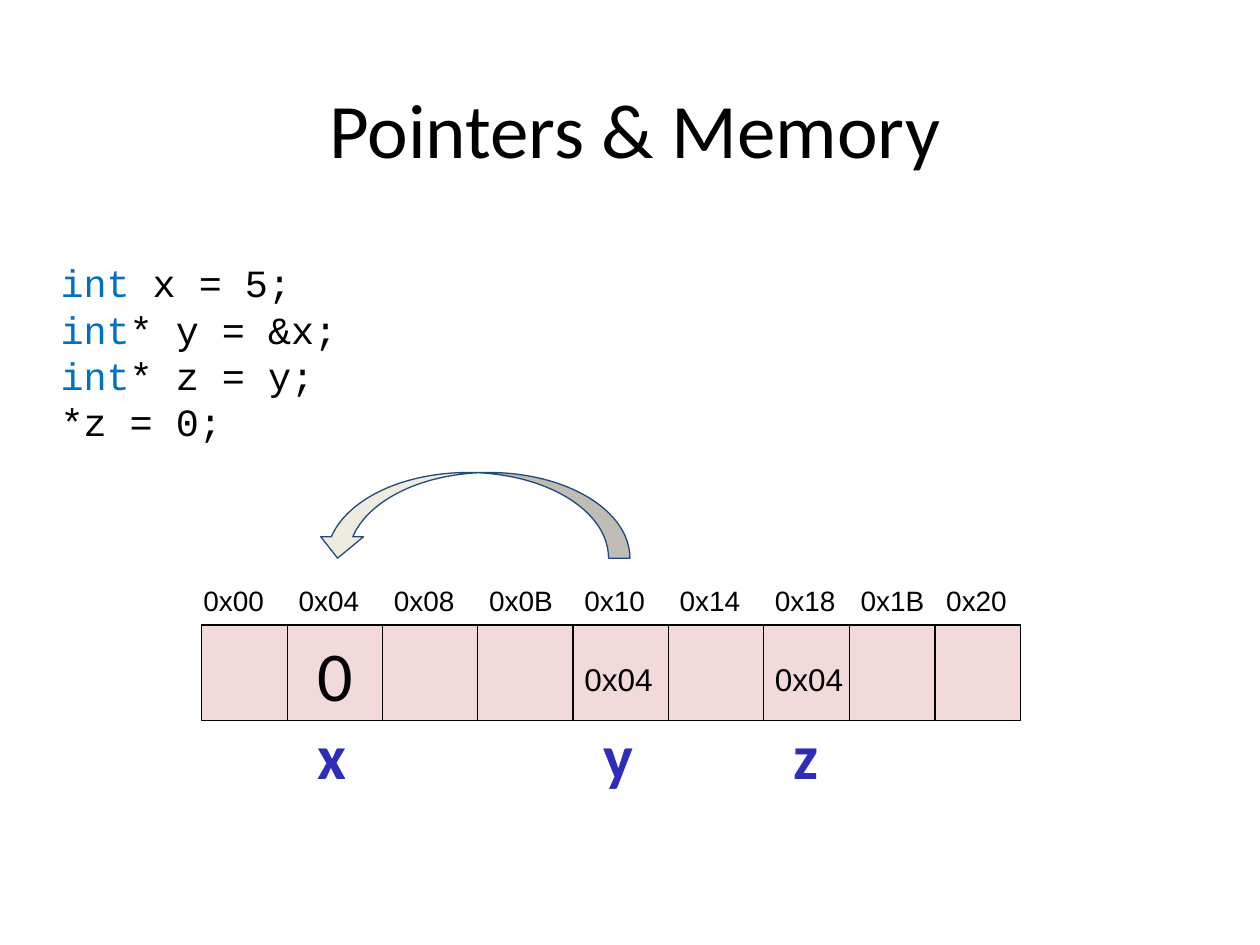
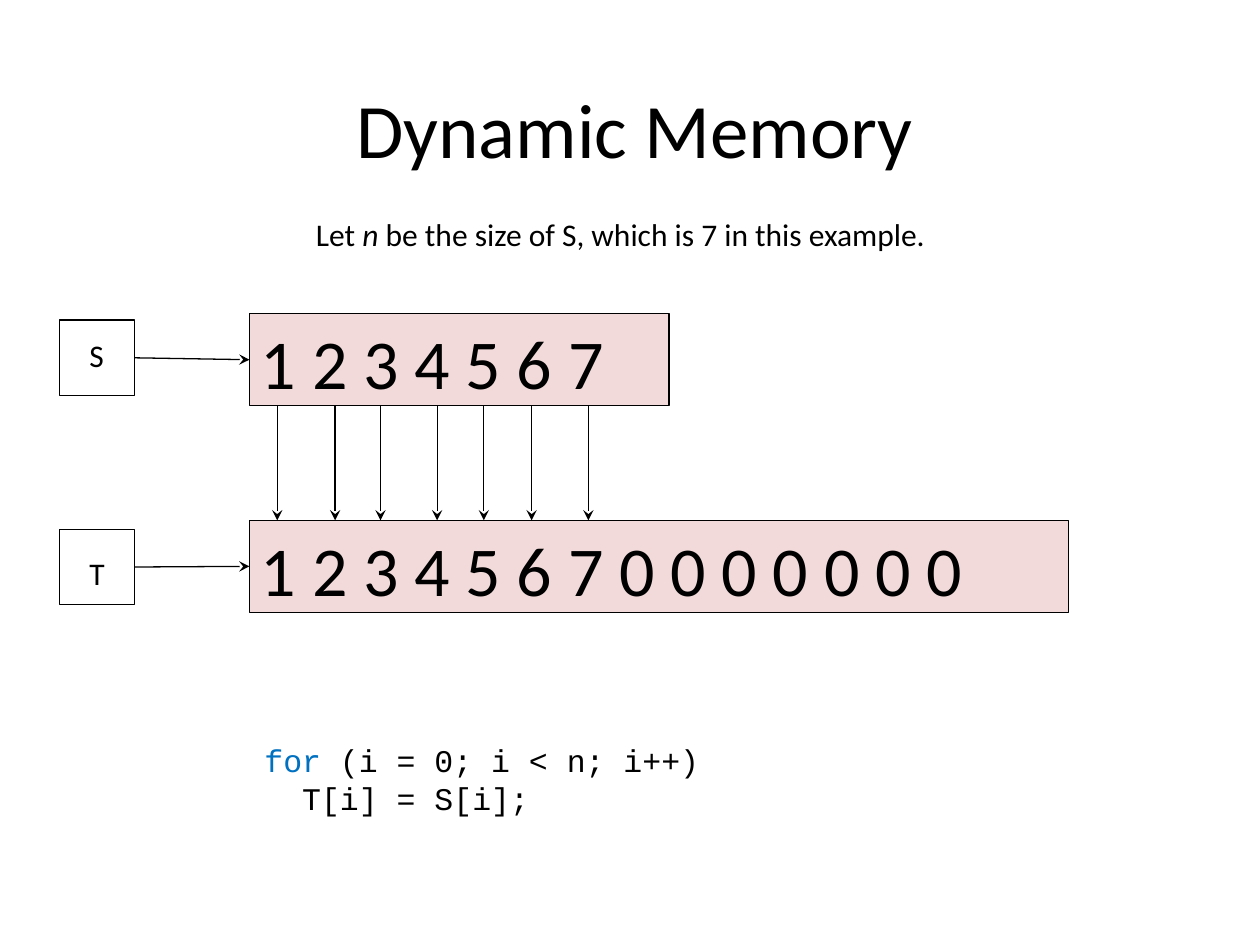
import itertools
import pptx
import pptx.util
import pptx.dml.color
import pptx.enum.shapes
import pptx.enum.text
import pptx.oxml.ns
import lxml.etree

# Content: pointers and memory
POINTER_CODE = [
    [("int", "keyword"), (" x = 5;", "ink")],
    [("int", "keyword"), ("* y = &x;", "ink")],
    [("int", "keyword"), ("* z = y;", "ink")],
    [("*z = 0;", "ink")],
]
ADDRESSES = ["0x00", "0x04", "0x08", "0x0B", "0x10", "0x14", "0x18", "0x1B", "0x20"]
# (cell, variable, value, value size, value font, left offset, top offset)
VARIABLES = [
    (1, "x", "0", 40, "Calibri", 0.15, 0),
    (4, "y", "0x04", 18, "Arial", 0, 0.23),
    (6, "z", "0x04", 18, "Arial", 0, 0.23),
]

# Content: dynamic memory
# (name, elements, array width, array top, name box top, name text top)
ARRAYS = [
    ("S", "1 2 3 4 5 6 7", 3.33, 2.49, 2.54, 2.62),
    ("T", "1 2 3 4 5 6 7 0 0 0 0 0 0 0", 6.5, 4.13, 4.2, 4.35),
]
COPY_ARROWS = [2.2, 2.66, 3.02, 3.47, 3.84, 4.22, 4.67]
SIZE_NOTE = [[("Let ", "ink"), ("n", "ink", True), (" be the size of S, which is 7 in this example.", "ink")]]
LOOP_CODE = [
    [("for", "keyword"), (" (i = 0; i < n; i++)", "ink")],
    [("  T[i] = S[i];", "ink")],
]

# Shared style and geometry
COLORS = {"ink": "000000", "keyword": "0070C0", "variable": "2D2DB9", "cell": "F2DADA",
          "arrow": "EEECE1", "arrow edge": "1F497D"}
LINE_WIDTH = 0.75
NARROW, WIDE = 0.68, 0.756
CELL_WIDTHS = [NARROW] + [WIDE] * 5 + [NARROW] * 3
MEMORY_LEFT, MEMORY_TOP, MEMORY_HEIGHT = 1.6, 4.96, 0.76
ARRAY_LEFT, ARRAY_HEIGHT = 1.98, 0.73
NAME_LEFT, NAME_SIZE = 0.47, 0.6

inch = pptx.util.Inches
SHAPE = pptx.enum.shapes.MSO_SHAPE


def rgb(name):
    return pptx.dml.color.RGBColor.from_string(COLORS[name])


def text(s, content, x, y, w, h, size=18, font="Calibri", color="ink", bold=False,
         align="LEFT", anchor="TOP", inset=0.09, top=0.05):
    """Content is a string, or paragraphs of (text, color, italic) runs."""
    tf = s.shapes.add_textbox(inch(x), inch(y), inch(w), inch(h)).text_frame
    tf.word_wrap = True
    tf.vertical_anchor = getattr(pptx.enum.text.MSO_ANCHOR, anchor)
    tf.margin_left = tf.margin_right = inch(inset)
    tf.margin_top, tf.margin_bottom = inch(top), inch(0.05)
    paragraphs = [[(content, color)]] if isinstance(content, str) else content
    for i, runs in enumerate(paragraphs):
        p = tf.add_paragraph() if i else tf.paragraphs[0]
        p.alignment = getattr(pptx.enum.text.PP_ALIGN, align)
        for words, run_color, *italic in runs:
            r = p.add_run()
            r.text = words
            r.font.size, r.font.name = pptx.util.Pt(size), font
            r.font.bold, r.font.italic = bold, bool(italic)
            r.font.color.rgb = rgb(run_color)


def shape(s, x, y, w, h, fill=None, edge="ink", kind=SHAPE.RECTANGLE):
    sp = s.shapes.add_shape(kind, inch(x), inch(y), inch(w), inch(h))
    sp.shadow.inherit = False
    if fill:
        sp.fill.solid()
        sp.fill.fore_color.rgb = rgb(fill)
    else:
        sp.fill.background()
    sp.line.color.rgb = rgb(edge)
    sp.line.width = pptx.util.Pt(LINE_WIDTH)
    return sp


def line(s, x1, y1, x2, y2, arrow=False):
    cn = s.shapes.add_connector(pptx.enum.shapes.MSO_CONNECTOR.STRAIGHT,
                                inch(x1), inch(y1), inch(x2), inch(y2))
    cn.line.color.rgb = rgb("ink")
    cn.line.width = pptx.util.Pt(LINE_WIDTH)
    qn = pptx.oxml.ns.qn
    if arrow:
        lxml.etree.SubElement(cn.line._get_or_add_ln(), qn("a:tailEnd")).set("type", "stealth")
    lxml.etree.SubElement(cn._element.spPr, qn("a:effectLst"))


def new_slide(prs, title):
    s = prs.slides.add_slide(prs.slide_layouts[6])
    text(s, title, 0.54, 0.57, 9, 0.91, size=44, align="CENTER", anchor="MIDDLE", inset=0.1, top=0.02)
    return s


def pointers_slide(prs):
    s = new_slide(prs, "Pointers & Memory")
    text(s, POINTER_CODE, 0.39, 2.01, 9.22, 1.94, size=22, font="Courier New")

    # Memory strip with its cell borders
    edges = list(itertools.accumulate(CELL_WIDTHS, initial=MEMORY_LEFT))
    bottom = MEMORY_TOP + MEMORY_HEIGHT
    shape(s, MEMORY_LEFT, MEMORY_TOP, sum(CELL_WIDTHS), MEMORY_HEIGHT, fill="cell")
    for x in edges[1:-1]:
        line(s, x, MEMORY_TOP, x, bottom)

    # Addresses above; the first keeps the wide spacing
    for x, address in zip([edges[1] - WIDE] + edges[1:], ADDRESSES):
        text(s, address, x, 4.58, 0.73, 0.35, size=16, font="Arial")

    # Values inside, variable names below
    for cell, name, value, size, font, dx, dy in VARIABLES:
        text(s, value, edges[cell] + dx, MEMORY_TOP + dy, 0.86, 0.41, size=size, font=font)
        text(s, name, edges[cell] + 0.15, 5.64, 0.48, 0.68, size=36, color="variable", bold=True)

    # Arrow from y back to x
    arrow = shape(s, 2.51, 3.75, 2.49, 0.68, fill="arrow", edge="arrow edge",
                  kind=SHAPE.CURVED_DOWN_ARROW)
    arrow._element.spPr.get_or_add_xfrm().set("flipH", "1")


def dynamic_slide(prs):
    s = new_slide(prs, "Dynamic Memory")
    text(s, SIZE_NOTE, 2.41, 1.61, 5.26, 0.73, inset=0.1, top=0.1)

    # Each name box points at its array
    for name, elements, width, top, box_top, name_top in ARRAYS:
        shape(s, ARRAY_LEFT, top, width, ARRAY_HEIGHT, fill="cell")
        text(s, elements, ARRAY_LEFT, top, 6.56, ARRAY_HEIGHT, size=40)
        shape(s, NAME_LEFT, box_top, NAME_SIZE, NAME_SIZE)
        text(s, name, NAME_LEFT + 0.15, name_top, 0.37, 0.41)
        line(s, NAME_LEFT + NAME_SIZE, box_top + NAME_SIZE / 2,
             ARRAY_LEFT, top + ARRAY_HEIGHT / 2, arrow=True)

    # Element by element copy
    source_top, target_top = (array[3] for array in ARRAYS)
    for x in COPY_ARROWS:
        line(s, x, source_top + ARRAY_HEIGHT, x, target_top, arrow=True)
    text(s, LOOP_CODE, 2, 5.83, 5.67, 0.71, font="Courier New", inset=0.1)


def main():
    prs = pptx.Presentation()
    prs.slide_width, prs.slide_height = inch(10), inch(7.5)
    pointers_slide(prs)
    dynamic_slide(prs)
    prs.save("out.pptx")


if __name__ == "__main__":
    main()
